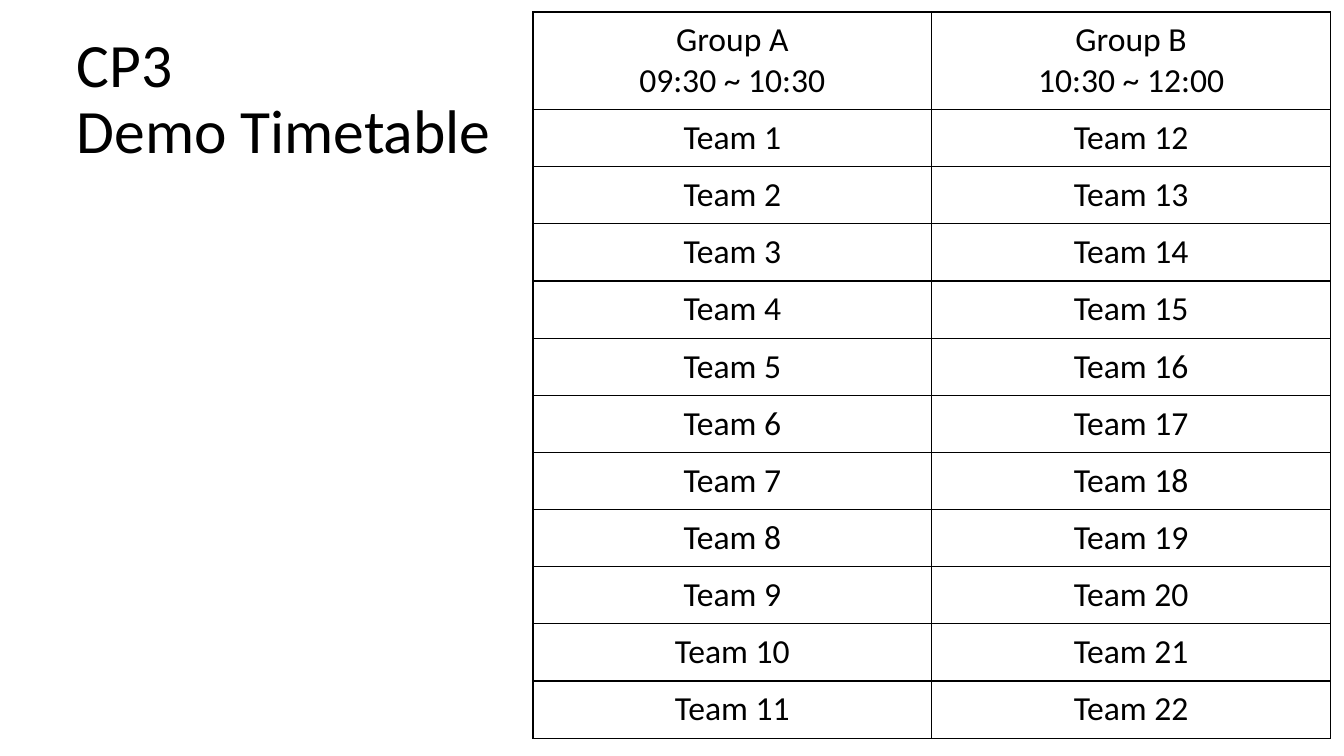
from lxml.etree import SubElement
from pptx import Presentation
from pptx.dml.color import RGBColor
from pptx.enum.text import MSO_ANCHOR, PP_ALIGN
from pptx.oxml.ns import qn
from pptx.util import Cm, Pt

COLORS = {"ink": "000000", "paper": "FFFFFF"}
FONT = "Calibri"
TEAMS_PER_GROUP = 11
GROUPS = [("Group A", "09:30 ~ 10:30"), ("Group B", "10:30 ~ 12:00")]


def write_text(frame, text, size, align=PP_ALIGN.LEFT, line_spacing=None):
    frame.word_wrap = True
    frame.text = text
    for para in frame.paragraphs:
        para.alignment = align
        para.line_spacing = line_spacing
        para.font.size = Pt(size)
        para.font.name = FONT
        para.font.color.rgb = RGBColor.from_string(COLORS["ink"])


def draw_borders(cell, width):
    properties = cell._tc.get_or_add_tcPr()
    for position, side in enumerate(("lnL", "lnR", "lnT", "lnB")):
        line = SubElement(properties, qn(f"a:{side}"), w=str(Pt(width)))
        fill = SubElement(line, qn("a:solidFill"))
        SubElement(fill, qn("a:srgbClr"), val=COLORS["ink"])
        properties.insert(position, line)


deck = Presentation()
deck.slide_width, deck.slide_height = Cm(33.87), Cm(19.05)
page = deck.slides.add_slide(deck.slide_layouts[6])

title_box = page.shapes.add_textbox(Cm(1.68), Cm(0.69), Cm(29.21), Cm(3.68))
title_box.text_frame.vertical_anchor = MSO_ANCHOR.MIDDLE
write_text(title_box.text_frame, "CP3\vDemo Timetable", size=44, line_spacing=0.9)

timetable = page.shapes.add_table(
    TEAMS_PER_GROUP + 1, len(GROUPS), Cm(13.43), Cm(0.3), Cm(20.1), Cm(18.34)
).table
timetable.first_row = False
timetable.horz_banding = False
for row_index, row in enumerate(timetable.rows):
    row.height = Cm(1.44 if row_index else 2.46)

for group_index, heading in enumerate(GROUPS):
    timetable.columns[group_index].width = Cm(10.05)
    first_team = group_index * TEAMS_PER_GROUP + 1
    teams = [f"Team {first_team + offset}" for offset in range(TEAMS_PER_GROUP)]
    for row_index, text in enumerate(["\n".join(heading)] + teams):
        cell = timetable.cell(row_index, group_index)
        cell.vertical_anchor = MSO_ANCHOR.MIDDLE
        cell.fill.solid()
        cell.fill.fore_color.rgb = RGBColor.from_string(COLORS["paper"])
        write_text(cell.text_frame, text, size=24, align=PP_ALIGN.CENTER)
        draw_borders(cell, width=1)

deck.save("out.pptx")
